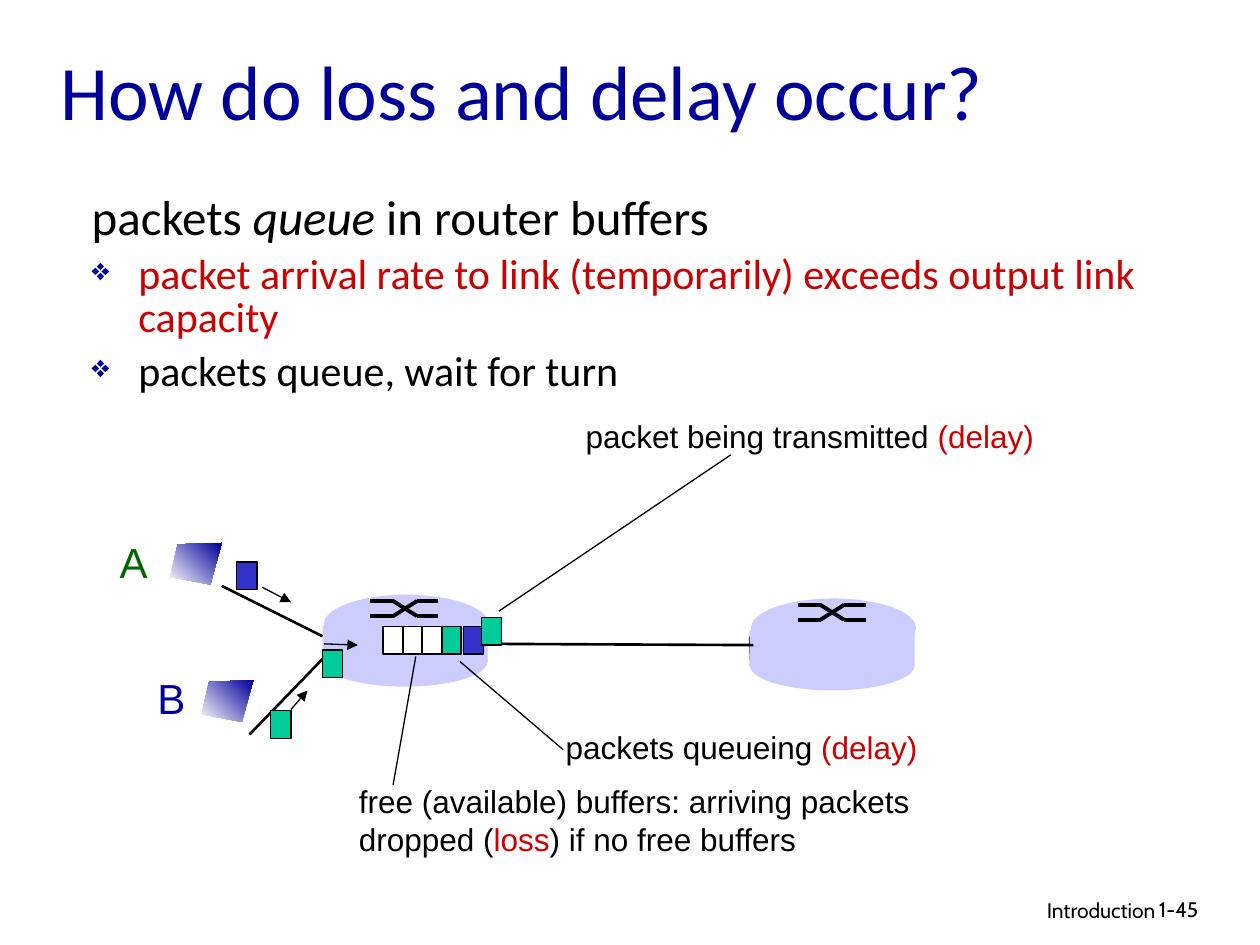
from dataclasses import dataclass
from typing import NamedTuple

import pptx
import pptx.dml.color
import pptx.enum.dml
import pptx.enum.shapes
import pptx.enum.text
import pptx.oxml
import pptx.oxml.ns
import pptx.util

PX = 9144
BLACK, WHITE, NAVY, RED = "000000", "FFFFFF", "000099", "CC0000"
GREEN, BLUE, LILAC = "00CC99", "3333CC", "CCCCFF"
SHAPE = pptx.enum.shapes.MSO_SHAPE
ALIGN = pptx.enum.text.PP_ALIGN


class Span(NamedTuple):
    text: str
    color: str = BLACK
    italic: bool = False


@dataclass
class Label:
    x: int
    y: int
    w: int
    h: int
    paragraphs: list[list[Span]]
    size: int = 18
    font: str = "Arial"
    wrap: bool = False
    align: ALIGN = ALIGN.LEFT


class Line(NamedTuple):
    x1: int
    y1: int
    x2: int
    y2: int
    width: float = 0.75
    arrow: bool = False


class Packet(NamedTuple):
    x: int
    y: int
    color: str


class Point(NamedTuple):
    x: int
    y: int


ROUTERS = [Point(256, 472), Point(595, 475)]
SWITCH_LINES = [
    Line(0, 0, 19, 0), Line(37, 12, 54, 12), Line(18, 0, 37, 12),
    Line(0, 12, 19, 12), Line(37, 0, 54, 0), Line(18, 12, 37, 0),
]
LINKS = [
    Line(176, 465, 256, 505, 1.5),
    Line(198, 583, 256, 523, 1.5),
    Line(386, 511, 598, 512, 1.5),
]
MOTIONS = [
    Line(257, 511, 284, 512, arrow=True),
    Line(231, 563, 244, 548, arrow=True),
    Line(208, 466, 231, 478, arrow=True),
]
CALLOUTS = [Line(580, 361, 396, 485), Line(447, 595, 365, 525), Line(312, 623, 330, 521)]
PACKETS = [
    Packet(350, 497, GREEN), Packet(368, 497, BLUE), Packet(256, 516, GREEN),
    Packet(382, 490, GREEN), Packet(188, 446, BLUE), Packet(215, 564, GREEN),
    Packet(335, 497, WHITE), Packet(319, 497, WHITE), Packet(304, 497, WHITE),
]
HOSTS = [Point(135, 431), Point(160, 540)]
HOST_OUTLINE = [Point(41, 0), Point(6, 1), Point(0, 27), Point(32, 33)]
LABELS = [
    Label(85, 421, 42, 50, [[Span("A", "006600")]], 24),
    Label(115, 529, 42, 50, [[Span("B", NAVY)]], 24),
    Label(455, 326, 376, 40, [[Span("packet being transmitted "), Span("(delay)", RED)]]),
    Label(439, 573, 299, 40, [[Span("packets queueing "), Span("(delay)", RED)]]),
    Label(275, 616, 464, 70, [
        [Span("free (available) buffers: arriving packets")],
        [Span("dropped ("), Span("loss", RED), Span(") if no free buffers")],
    ]),
    Label(610, 707, 317, 31, [[Span("Introduction")]], 12, "Cabin", True, ALIGN.RIGHT),
    Label(910, 707, 74, 30, [[Span("1-45")]], 12, "Cabin", True),
]
TITLE = Label(38, 9, 850, 125, [[Span("How do loss and delay occur?", NAVY)]], 44, "Calibri", True)
BODY = Label(63, 150, 937, 231, [
    [Span("packets "), Span("queue", italic=True), Span(" in router buffers")],
    [Span("packet arrival rate to link (temporarily) exceeds output link capacity", RED)],
    [Span("packets queue, wait for turn")],
], 24, "Calibri", True)


def rgb(color: str) -> pptx.dml.color.RGBColor:
    return pptx.dml.color.RGBColor.from_string(color)


def add_xml(parent, xml: str) -> None:
    head, tail = xml.split(" ", 1) if " " in xml else (xml[:-2], "/>")
    parent.append(pptx.oxml.parse_xml(f"{head} {pptx.oxml.ns.nsdecls('a')} {tail}"))


def draw_shape(s, kind: SHAPE, x: int, y: int, w: int, h: int, color: str, outlined: bool = False) -> None:
    sp = s.shapes.add_shape(kind, x * PX, y * PX, w * PX, h * PX)
    sp.shadow.inherit = False
    sp.fill.solid()
    sp.fill.fore_color.rgb = rgb(color)
    if outlined:
        sp.line.color.rgb = rgb(BLACK)
        sp.line.width = pptx.util.Pt(0.75)
    else:
        sp.line.fill.background()


def draw_line(s, line: Line) -> None:
    ends = [v * PX for v in line[:4]]
    sp = s.shapes.add_connector(pptx.enum.shapes.MSO_CONNECTOR.STRAIGHT, *ends)
    sp.line.color.rgb = rgb(BLACK)
    sp.line.width = pptx.util.Pt(line.width)
    if line.arrow:
        add_xml(sp.line._get_or_add_ln(), '<a:tailEnd type="triangle"/>')
    add_xml(sp._element.spPr, "<a:effectLst/>")


def draw_router(s, router: Point) -> None:
    x, y = router
    draw_shape(s, SHAPE.OVAL, x, y + 33, 131, 40, LILAC)
    draw_shape(s, SHAPE.RECTANGLE, x, y + 25, 131, 29, LILAC)
    draw_shape(s, SHAPE.OVAL, x + 1, y, 131, 47, LILAC)
    left, top = x + 38, y + 5
    for x1, y1, x2, y2, *_ in SWITCH_LINES:
        draw_line(s, Line(left + x1, top + y1, left + x2, top + y2, 2.25))


def draw_host(s, host: Point) -> None:
    start, *rest = [Point(host.x + p.x, host.y + p.y) for p in HOST_OUTLINE]
    builder = s.shapes.build_freeform(start.x, start.y, scale=PX)
    builder.add_line_segments(rest, close=True)
    sp = builder.convert_to_shape()
    sp.shadow.inherit = False
    sp.line.fill.background()
    sp.fill.gradient()
    sp.fill.gradient_angle = 45
    for stop, color, position in zip(sp.fill.gradient_stops, (WHITE, NAVY), (0, 1)):
        stop.color.rgb = rgb(color)
        stop.position = position


def draw_label(s, label: Label):
    sp = s.shapes.add_textbox(label.x * PX, label.y * PX, label.w * PX, label.h * PX)
    tf = sp.text_frame
    tf.word_wrap = label.wrap
    if not label.wrap:
        tf.auto_size = pptx.enum.text.MSO_AUTO_SIZE.SHAPE_TO_FIT_TEXT
    for i, spans in enumerate(label.paragraphs):
        p = tf.add_paragraph() if i else tf.paragraphs[0]
        p.alignment = label.align
        for span in spans:
            r = p.add_run()
            r.text = span.text
            r.font.name = label.font
            r.font.size = pptx.util.Pt(label.size)
            r.font.italic = span.italic
            r.font.color.rgb = rgb(span.color)
    return tf


def draw_body(s) -> None:
    tf = draw_label(s, BODY)
    for i, p in enumerate(tf.paragraphs):
        p.line_spacing = 0.85
        if not i:
            for r in p.runs:
                r.font.size = pptx.util.Pt(28)
            continue
        p.space_before = pptx.util.Pt(6)
        pPr = p._p.get_or_add_pPr()
        pPr.set("marL", str(37 * PX))
        pPr.set("indent", str(-37 * PX))
        add_xml(pPr, f'<a:buClr ><a:srgbClr val="{NAVY}"/></a:buClr>')
        add_xml(pPr, '<a:buSzPct val="75000"/>')
        add_xml(pPr, '<a:buChar char="❖"/>')


def main() -> None:
    prs = pptx.Presentation()
    prs.slide_width, prs.slide_height = 1000 * PX, 750 * PX
    s = prs.slides.add_slide(prs.slide_layouts[6])
    draw_label(s, TITLE).vertical_anchor = pptx.enum.text.MSO_ANCHOR.MIDDLE
    draw_body(s)
    draw_line(s, Line(595, 505, 596, 530, 1))
    for router in ROUTERS:
        draw_router(s, router)
    for line in LINKS + MOTIONS + CALLOUTS:
        draw_line(s, line)
    for packet in PACKETS:
        draw_shape(s, SHAPE.RECTANGLE, packet.x, packet.y, 16, 22, packet.color, True)
    for host in HOSTS:
        draw_host(s, host)
    for label in LABELS:
        draw_label(s, label)
    prs.save("out.pptx")


if __name__ == "__main__":
    main()
